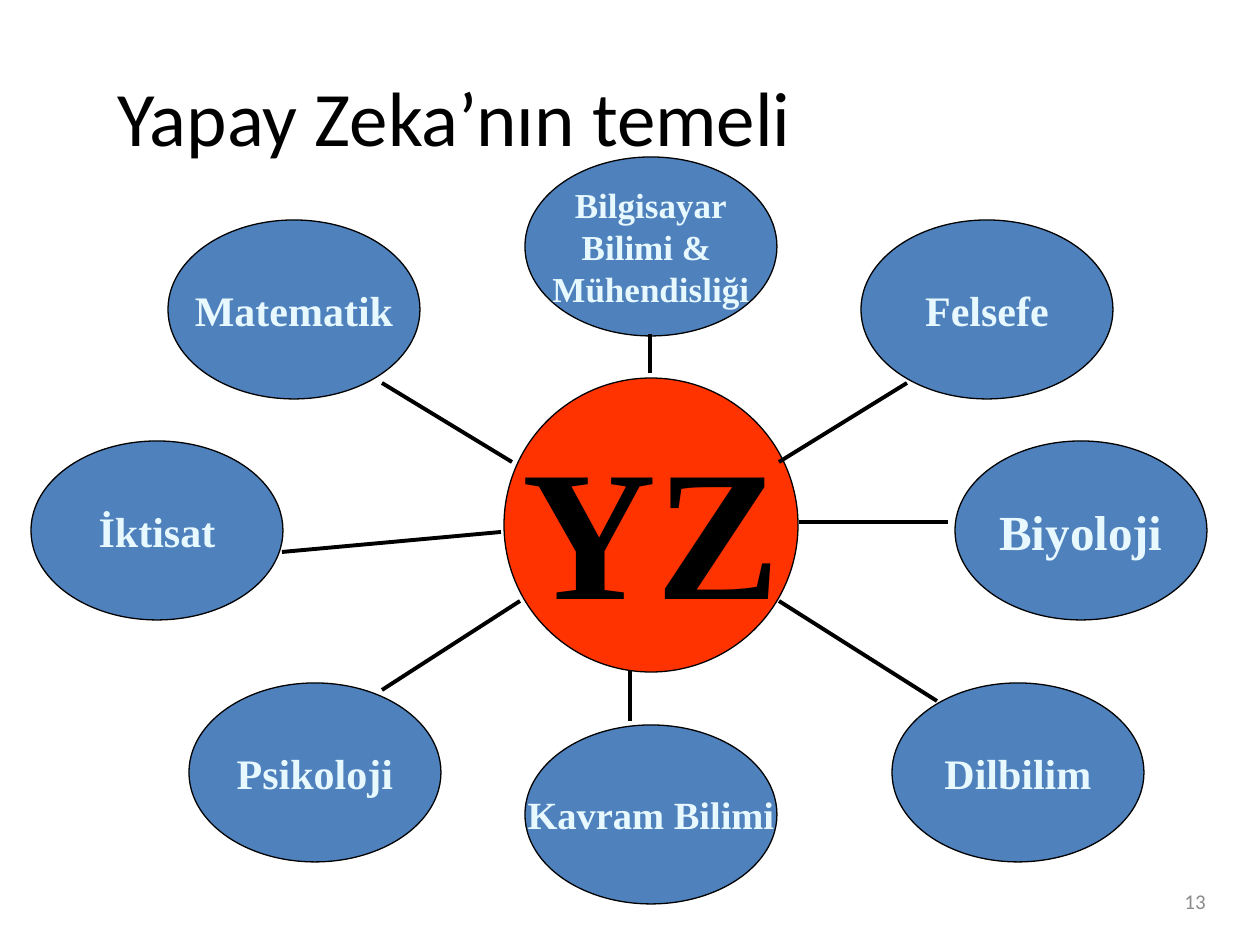
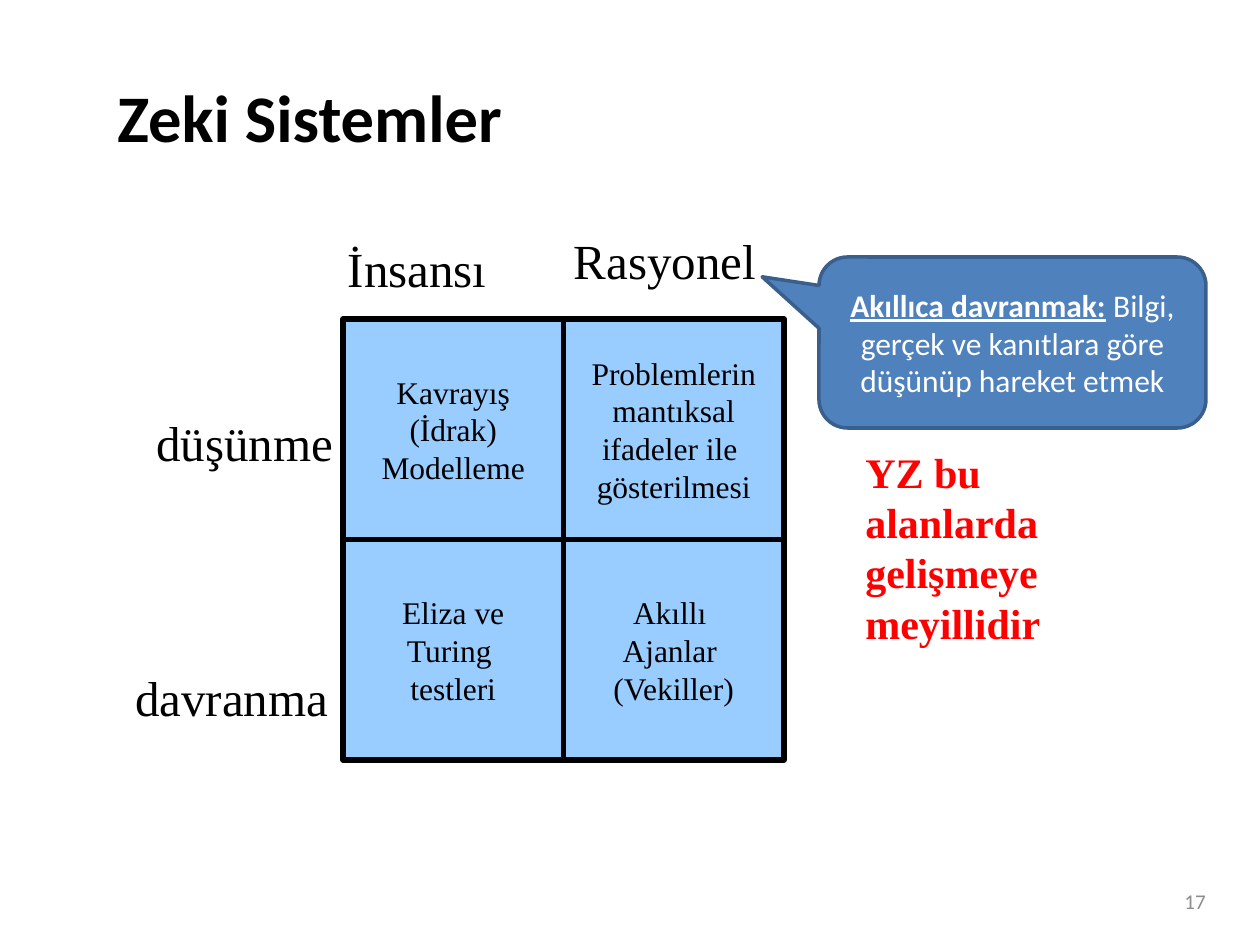
from pptx import Presentation
from pptx.dml.color import RGBColor
from pptx.enum import shapes, text
from pptx.oxml.ns import qn
from pptx.util import Pt
from lxml import etree

SCALE = 914400 / 126  # EMU in one pixel
COLORS = {
    "black": "000000", "white": "FFFFFF", "blue": "4F81BD", "navy": "3A5F8C",
    "ice": "E7F9FF", "orange": "FF3300", "sky": "99CCFF", "red": "FF0000",
    "gray": "8C8C8C",
}
SANS, SERIF = "Calibri", "Times New Roman"
LEFT, CENTER, RIGHT = text.PP_ALIGN.LEFT, text.PP_ALIGN.CENTER, text.PP_ALIGN.RIGHT
TOP, MIDDLE = text.MSO_ANCHOR.TOP, text.MSO_ANCHOR.MIDDLE
SHAPE = shapes.MSO_SHAPE
TITLE_BOX = (105, 37, 1113, 158)
NUMBER_BOX = (924, 876, 294, 50)


def emu(*pixels):
    return [round(value * SCALE) for value in pixels]


def color(name):
    return RGBColor.from_string(COLORS[name])


def write(shape, content, size=18, font=SERIF, ink="black", bold=False,
          align=LEFT, anchor=TOP, wrap=True):
    """Fill a shape; each line is a string or a list of (string, bold, underline)."""
    frame = shape.text_frame
    frame.word_wrap = wrap
    frame.vertical_anchor = anchor
    for index, line in enumerate(content):
        para = frame.paragraphs[0] if index == 0 else frame.add_paragraph()
        para.alignment = align
        spans = [(line, bold, False)] if isinstance(line, str) else line
        for words, heavy, underlined in spans:
            span = para.add_run()
            span.text = words
            span.font.size = Pt(size)
            span.font.name = font
            span.font.bold = heavy
            span.font.underline = underlined
            span.font.color.rgb = color(ink)


def add_text(page, box, *content, **style):
    write(page.shapes.add_textbox(*emu(*box)), content, **style)


def add_figure(page, kind, box, content, fill, line="black", weight=0.75, **style):
    shape = page.shapes.add_shape(kind, *emu(*box))
    shape.shadow.inherit = False
    shape.fill.solid()
    shape.fill.fore_color.rgb = color(fill)
    shape.line.color.rgb = color(line)
    shape.line.width = Pt(weight)
    write(shape, content, align=CENTER, anchor=MIDDLE, **style)
    return shape


def add_line(page, start, end):
    line = page.shapes.add_connector(shapes.MSO_CONNECTOR.STRAIGHT, *emu(*start, *end))
    line.line.color.rgb = color("black")
    line.line.width = Pt(2.25)
    etree.SubElement(line._element.spPr, qn("a:effectLst"))


def add_page(deck, title, number, **title_style):
    page = deck.slides.add_slide(deck.slide_layouts[6])
    add_text(page, TITLE_BOX, title, font=SANS, anchor=MIDDLE, **title_style)
    add_text(page, NUMBER_BOX, number, size=12, font=SANS, ink="gray",
             align=RIGHT, anchor=MIDDLE)
    return page


def draw_hub(page, box, hub, topics, spokes):
    """A central circle, the ellipses around it and the lines between them."""
    left, top = box[:2]
    topic_width, topic_height, hub_size = 252, 179, 294
    x, y, label = hub
    add_figure(page, SHAPE.OVAL, (left + x, top + y, hub_size, hub_size), [label],
               "orange", size=106, bold=True, wrap=False)
    for x, y, size, *lines in topics:
        add_figure(page, SHAPE.OVAL, (left + x, top + y, topic_width, topic_height),
                   lines, "blue", size=size, ink="ice", bold=True, wrap=False)
    for x1, y1, x2, y2 in spokes:
        add_line(page, (left + x1, top + y1), (left + x2, top + y2))


def draw_matrix(page, box, rows, labels):
    """A two by two matrix with its row and column labels."""
    left, top, width, height = box
    cell_width, cell_height = width / len(rows[0]), height / len(rows)
    for r, row in enumerate(rows):
        for c, lines in enumerate(row):
            cell = (left + c * cell_width, top + r * cell_height, cell_width, cell_height)
            add_figure(page, SHAPE.RECTANGLE, cell, lines, "sky", weight=3, wrap=False)
    for x, y, label_width, align, label in labels:
        add_text(page, (left + x, top + y, label_width, 72), label, size=28,
                 align=align, wrap=align == CENTER)


def draw_callout(page, box, spans):
    callout = add_figure(page, SHAPE.ROUNDED_RECTANGULAR_CALLOUT, box, [spans], "blue",
                         line="navy", weight=2, font=SANS, ink="white")
    for index, value in enumerate((-0.647, -0.384, 0.167)):
        callout.adjustments[index] = value


deck = Presentation()
deck.slide_width, deck.slide_height = emu(1260, 945)

# Foundations of the field
page = add_page(deck, "Yapay Zeka’nın temeli", "13", size=44)
draw_hub(
    page, (31, 157, 1177, 747), (473, 221, "YZ"),
    topics=[
        (494, 0, 20, "Bilgisayar", "Bilimi & ", "Mühendisliği"),
        (137, 63, 24, "Matematik"),
        (494, 568, 22, "Kavram Bilimi"),
        (830, 63, 24, "Felsefe"),
        (158, 526, 24, "Psikoloji"),
        (861, 526, 24, "Dilbilim"),
        (924, 284, 28, "Biyoloji"),
        (0, 284, 24, "İktisat"),
    ],
    spokes=[
        (351, 226, 481, 305), (251, 395, 470, 375), (619, 177, 619, 216),
        (876, 226, 748, 305), (917, 365, 768, 365), (599, 513, 599, 564),
        (748, 444, 906, 544), (489, 444, 351, 533),
    ])

# Intelligent systems
page = add_page(deck, "Zeki Sistemler", "17", size=38, bold=True)
draw_matrix(
    page, (343, 319, 441, 441),
    rows=[
        [("Kavrayış", "(İdrak)", "Modelleme"),
         ("Problemlerin", " mantıksal ", "ifadeler ile ", "gösterilmesi")],
        [("Eliza ve", "Turing ", "testleri"),
         ("Akıllı ", "Ajanlar ", "(Vekiller)")],
    ],
    labels=[
        (-199, 87, 202, LEFT, "düşünme"),
        (-220, 342, 238, LEFT, "davranma"),
        (-48, -87, 244, CENTER, "İnsansı"),
        (200, -95, 244, CENTER, "Rasyonel"),
    ])
add_text(page, (853, 440, 275, 214), "YZ bu alanlarda gelişmeye meyillidir",
         size=24, ink="red", bold=True)
draw_callout(page, (819, 257, 387, 171), [
    ("Akıllıca davranmak:", True, True),
    (" ", True, False),
    ("Bilgi, gerçek ve kanıtlara göre düşünüp hareket etmek", False, False),
])

deck.save("out.pptx")
